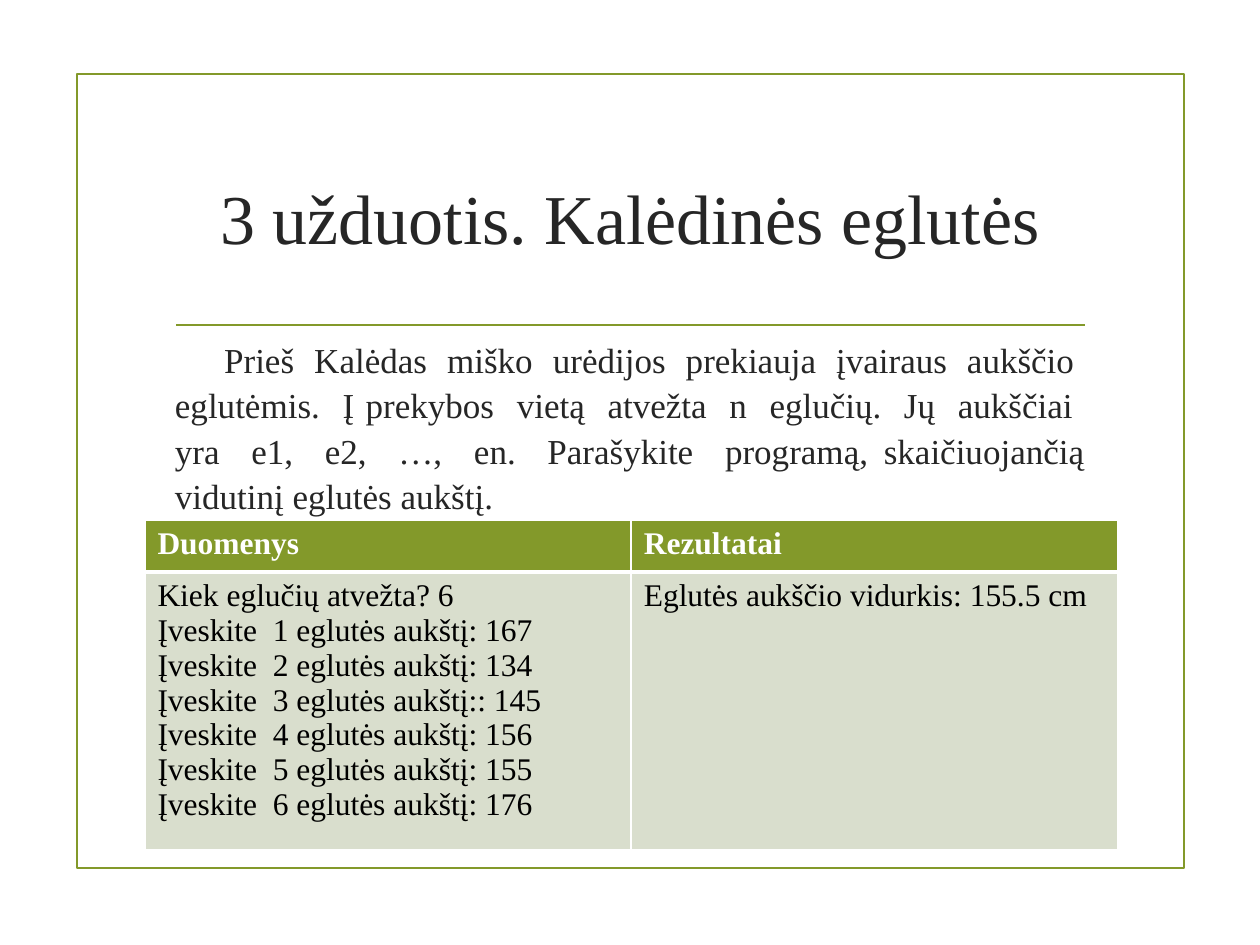
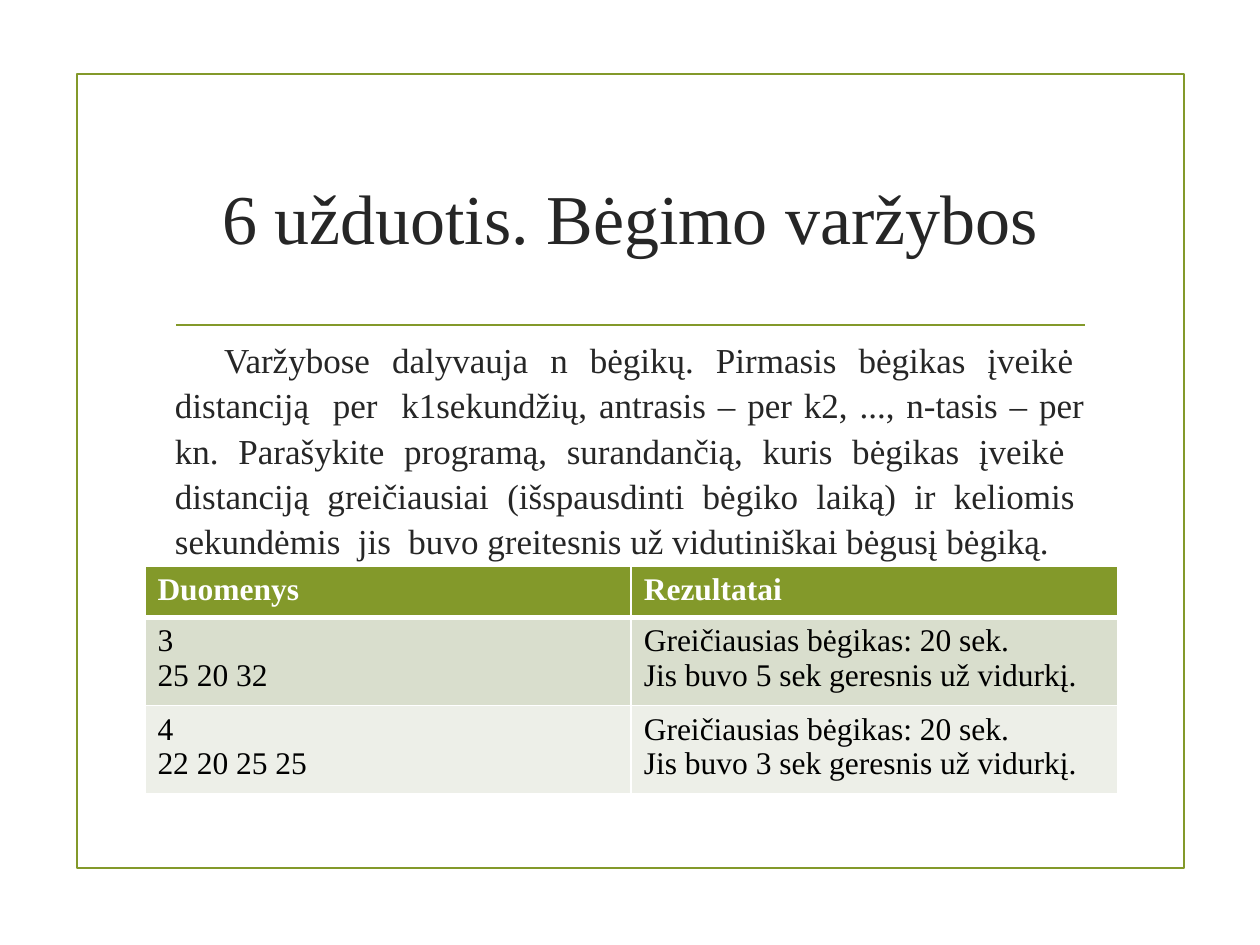
from dataclasses import dataclass

from lxml import etree
from pptx import Presentation
from pptx import util as u
from pptx.dml.color import RGBColor
from pptx.enum import shapes, text
from pptx.oxml import ns


@dataclass(frozen=True)
class Theme:
    font: str = "Times New Roman"
    accent: str = "83992A"
    ink: str = "262626"
    black: str = "000000"
    white: str = "FFFFFF"
    bands: tuple = ("D9DECD", "EDEFE8")
    title_size: float = 40
    body_size: float = 20
    table_size: float = 18
    rule_width: float = 1.25
    grid_width: float = 1
    header_rule_width: float = 3


THEME = Theme()
HEADERS = ("Duomenys", "Rezultatai")
TEXT_LEFT, TEXT_WIDTH = 1.29, 7.42

TREE_HEIGHTS = ("aukštį: 167", "aukštį: 134", "aukštį:: 145",
                "aukštį: 156", "aukštį: 155", "aukštį: 176")

TASKS = (
    {
        "title": "3 užduotis. Kalėdinės eglutės",
        "statement": "Prieš  Kalėdas  miško  urėdijos  prekiauja  įvairaus  aukščio  "
                     "eglutėmis.  Į prekybos  vietą  atvežta  n  eglučių.  Jų  aukščiai  "
                     "yra  e1,  e2,  …,  en.  Parašykite  programą, skaičiuojančią "
                     "vidutinį eglutės aukštį.",
        "table_top": 4.13,
        "examples": (
            (["Kiek eglučių atvežta? 6"]
             + [f"Įveskite  {number} eglutės {height}"
                for number, height in enumerate(TREE_HEIGHTS, 1)],
             ["Eglutės aukščio vidurkis: 155.5 cm"]),
        ),
    },
    {
        "title": "6 užduotis. Bėgimo varžybos",
        "statement": "Varžybose  dalyvauja  n  bėgikų.  Pirmasis  bėgikas  įveikė  "
                     "distanciją  per  k1sekundžių, antrasis – per k2, ..., n-tasis – per "
                     "kn. Parašykite programą, surandančią, kuris bėgikas įveikė  "
                     "distanciją  greičiausiai  (išspausdinti  bėgiko  laiką)  ir  keliomis  "
                     "sekundėmis  jis  buvo greitesnis už vidutiniškai bėgusį bėgiką.",
        "table_top": 4.49,
        "examples": tuple(
            (data, ["Greičiausias bėgikas: 20 sek.",
                    f"Jis buvo {lead} sek geresnis už vidurkį."])
            for data, lead in ((["3", "25 20 32"], 5), (["4", "22 20 25 25"], 3))
        ),
    },
)


def apply(target, values):
    for name, value in values.items():
        setattr(target, name, value)


def write_lines(frame, lines, size, color, bold=False, para_format=None):
    for index, line in enumerate(lines):
        para = frame.add_paragraph() if index else frame.paragraphs[0]
        apply(para, para_format or {})
        span = para.add_run()
        span.text = line
        apply(span.font, {"name": THEME.font, "size": u.Pt(size), "bold": bold})
        span.font.color.rgb = RGBColor.from_string(color)


def style_line(line):
    line.color.rgb = RGBColor.from_string(THEME.accent)
    line.width = u.Pt(THEME.rule_width)


def add_frame(page):
    frame = page.shapes.add_shape(
        shapes.MSO_SHAPE.RECTANGLE,
        u.Inches(0.61), u.Inches(0.59), u.Inches(8.79), u.Inches(6.3))
    frame.shadow.inherit = False
    frame.fill.background()
    style_line(frame.line)


def add_title_rule(page):
    rule = page.shapes.add_connector(
        shapes.MSO_CONNECTOR.STRAIGHT,
        u.Inches(1.4), u.Inches(2.58), u.Inches(8.61), u.Inches(2.58))
    style_line(rule.line)
    etree.SubElement(rule._element.spPr, ns.qn("a:effectLst"))


def add_text(page, top, height, content, size, anchor, para_format):
    box = page.shapes.add_textbox(
        u.Inches(TEXT_LEFT), u.Inches(top), u.Inches(TEXT_WIDTH), u.Inches(height))
    apply(box.text_frame, {"word_wrap": True, "vertical_anchor": anchor})
    write_lines(box.text_frame, [content], size, THEME.ink, para_format=para_format)
    return box


def add_title(page, title):
    add_text(page, 1, 1.43, title, THEME.title_size, text.MSO_ANCHOR.MIDDLE,
             {"alignment": text.PP_ALIGN.CENTER})


def add_statement(page, statement):
    box = add_text(page, 2.61, 3.77, statement, THEME.body_size, text.MSO_ANCHOR.TOP,
                   {"alignment": text.PP_ALIGN.JUSTIFY, "line_spacing": 1.08,
                    "space_after": u.Pt(6)})
    properties = box.text_frame.paragraphs[0]._p.get_or_add_pPr()
    properties.set("indent", str(u.Inches(0.39)))


def set_borders(cell, widths):
    properties = cell._tc.get_or_add_tcPr()
    for side, width in widths.items():
        border = etree.SubElement(properties, ns.qn(f"a:ln{side}"), w=str(u.Pt(width)))
        fill = etree.SubElement(border, ns.qn("a:solidFill"))
        etree.SubElement(fill, ns.qn("a:srgbClr"), val=THEME.white)


def fill_cell(cell, lines, background, color, bold, top, bottom):
    set_borders(cell, {"L": THEME.grid_width, "R": THEME.grid_width,
                       "T": top, "B": bottom})
    cell.fill.solid()
    cell.fill.fore_color.rgb = RGBColor.from_string(background)
    write_lines(cell.text_frame, lines, THEME.table_size, color, bold)


def add_examples(page, top, examples):
    row_count = len(examples) + 1
    table = page.shapes.add_table(
        row_count, len(HEADERS), u.Inches(1.15), u.Inches(top),
        u.Inches(7.72), u.Inches(0.41 * row_count)).table
    thin, thick = THEME.grid_width, THEME.header_rule_width
    for column, header in enumerate(HEADERS):
        fill_cell(table.cell(0, column), [header], THEME.accent, THEME.white,
                  True, thin, thick)
    for row, example in enumerate(examples, 1):
        background = THEME.bands[(row - 1) % len(THEME.bands)]
        for column, lines in enumerate(example):
            fill_cell(table.cell(row, column), lines, background, THEME.black,
                      False, thick if row == 1 else thin, thin)


def add_task(deck, task):
    page = deck.slides.add_slide(deck.slide_layouts[6])
    add_frame(page)
    add_title_rule(page)
    add_title(page, task["title"])
    add_statement(page, task["statement"])
    add_examples(page, task["table_top"], task["examples"])


def main():
    deck = Presentation()
    apply(deck, {"slide_width": u.Inches(10), "slide_height": u.Inches(7.5)})
    for task in TASKS:
        add_task(deck, task)
    deck.save("out.pptx")


if __name__ == "__main__":
    main()
